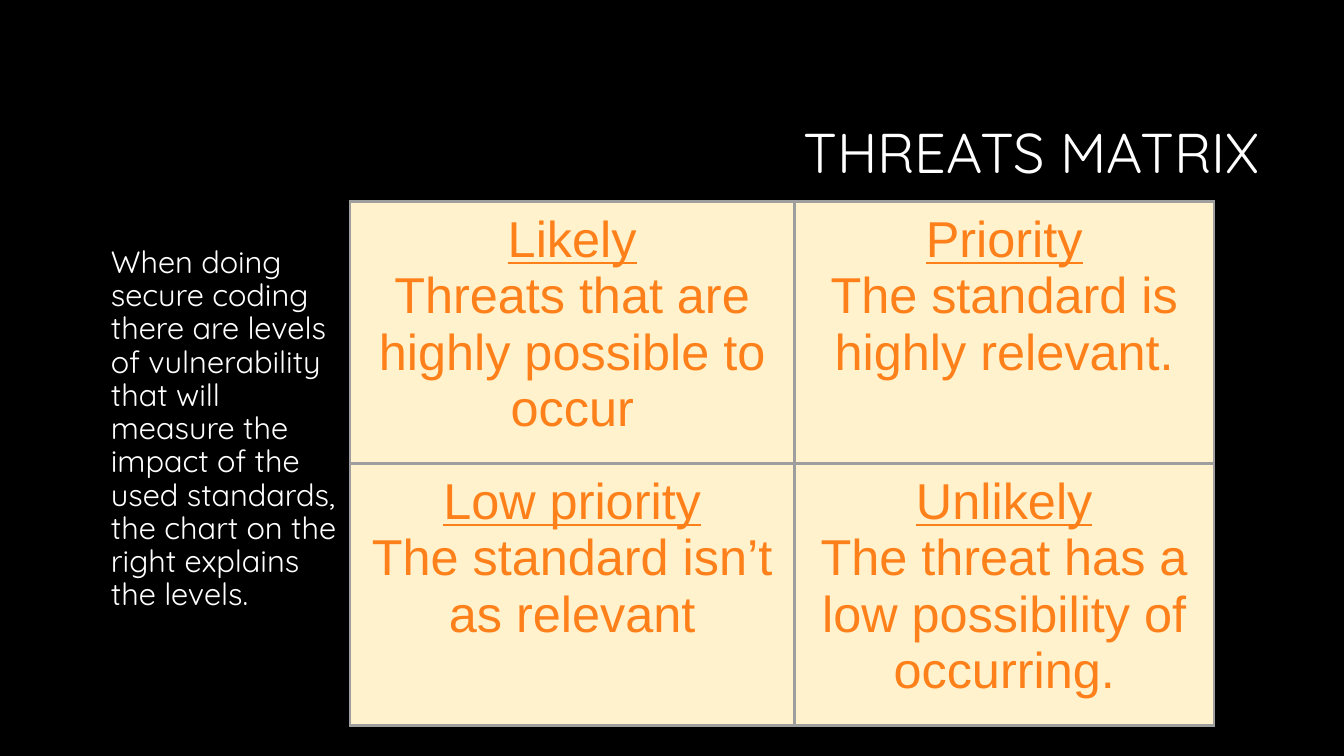
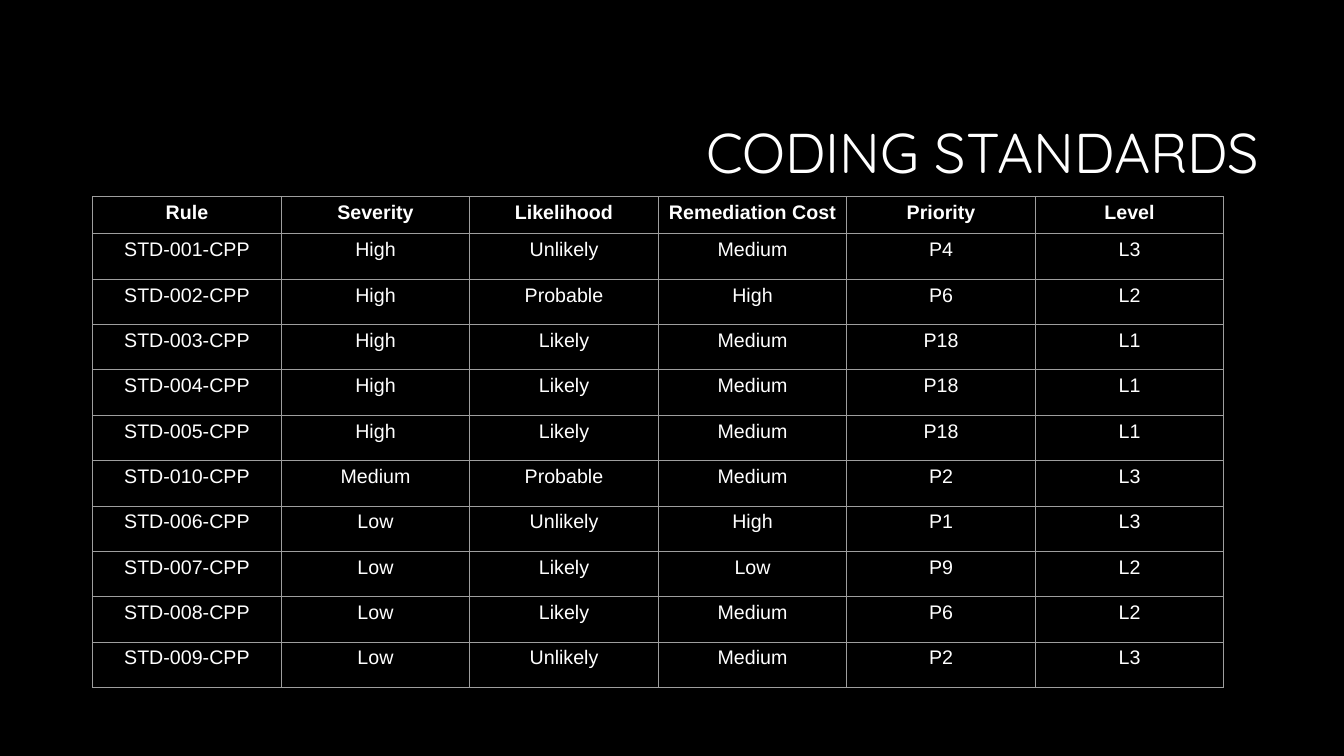
"""Build two dark slides: a threats matrix and a coding standards table."""
from dataclasses import dataclass

from lxml.etree import SubElement
from pptx import Presentation
from pptx.dml.color import RGBColor
from pptx.enum.text import MSO_ANCHOR as Anchor, PP_ALIGN as Align
from pptx.oxml.ns import qn
from pptx.util import Inches, Pt


@dataclass(frozen=True)
class Theme:
    background: str = "000000"
    text: str = "FFFFFF"
    accent: str = "FE801A"
    panel: str = "FFF2CC"
    border: str = "9E9E9E"
    display_font: str = "Quicksand"
    table_font: str = "Arial"
    title_size: int = 40
    matrix_size: int = 36
    body_size: int = 22
    grid_size: int = 14


THEME = Theme()
SLIDE_SIZE = (13.33, 7.5)
TITLE_BOX = (3.17, 0.84, 9.42, 1.41)

MATRIX_TITLE = "THREATS MATRIX"
MATRIX_INTRO = (
    "When doing secure coding there are levels of vulnerability that will "
    "measure the impact of the used standards, the chart on the right "
    "explains the levels."
)
MATRIX = [
    [("Likely", "Threats that are highly possible to occur"),
     ("Priority", "The standard is highly relevant.")],
    [("Low priority", "The standard isn’t as relevant"),
     ("Unlikely", "The threat has a low possibility of occurring.")],
]

STANDARDS_TITLE = "CODING STANDARDS"
STANDARDS_HEADER = ("Rule", "Severity", "Likelihood", "Remediation Cost", "Priority", "Level")
STANDARDS = [
    ("STD-001-CPP", "High", "Unlikely", "Medium", "P4", "L3"),
    ("STD-002-CPP", "High", "Probable", "High", "P6", "L2"),
    ("STD-003-CPP", "High", "Likely", "Medium", "P18", "L1"),
    ("STD-004-CPP", "High", "Likely", "Medium", "P18", "L1"),
    ("STD-005-CPP", "High", "Likely", "Medium", "P18", "L1"),
    ("STD-010-CPP", "Medium", "Probable", "Medium", "P2", "L3"),
    ("STD-006-CPP", "Low", "Unlikely", "High", "P1", "L3"),
    ("STD-007-CPP", "Low", "Likely", "Low", "P9", "L2"),
    ("STD-008-CPP", "Low", "Likely", "Medium", "P6", "L2"),
    ("STD-009-CPP", "Low", "Unlikely", "Medium", "P2", "L3"),
]


def add_run(paragraph, text, font, size, color, bold=False, underline=False):
    run = paragraph.add_run()
    run.text = text
    run.font.name = font
    run.font.size = Pt(size)
    run.font.color.rgb = RGBColor.from_string(color)
    run.font.bold = bold
    run.font.underline = underline


def add_text(slide, box, text, size, align=Align.LEFT, anchor=Anchor.TOP, before=0, indent=0):
    frame = slide.shapes.add_textbox(*map(Inches, box)).text_frame
    frame.word_wrap = True
    frame.vertical_anchor = anchor
    frame.margin_left = Inches(0.1 + indent)
    frame.margin_right = Inches(0.1)
    paragraph = frame.paragraphs[0]
    paragraph.alignment = align
    paragraph.line_spacing = 0.9
    paragraph.space_before = Pt(before)
    add_run(paragraph, text, THEME.display_font, size, THEME.text)


def add_titled_slide(presentation, title):
    slide = presentation.slides.add_slide(presentation.slide_layouts[6])
    fill = slide.background.fill
    fill.solid()
    fill.fore_color.rgb = RGBColor.from_string(THEME.background)
    add_text(slide, TITLE_BOX, title, THEME.title_size, Align.RIGHT, Anchor.MIDDLE)
    return slide


def set_borders(cell, width):
    properties = cell._tc.get_or_add_tcPr()
    for side in ("lnL", "lnR", "lnT", "lnB"):
        line = SubElement(properties, qn(f"a:{side}"), w=str(Pt(width)))
        solid = SubElement(line, qn("a:solidFill"))
        SubElement(solid, qn("a:srgbClr"), val=THEME.border)


def add_grid(slide, origin, columns, rows, border):
    frame = slide.shapes.add_table(
        len(rows), len(columns), *map(Inches, (*origin, sum(columns), sum(rows))))
    table = frame.table
    table.first_row = table.horz_banding = False
    for column, width in zip(table.columns, columns):
        column.width = Inches(width)
    for row, height in zip(table.rows, rows):
        row.height = Inches(height)
    for cell in table.iter_cells():
        set_borders(cell, border)
        cell.fill.background()
    return table


def build_matrix(presentation):
    slide = add_titled_slide(presentation, MATRIX_TITLE)
    add_text(slide, (0.75, 2.4, 2.72, 4.4), MATRIX_INTRO, THEME.body_size,
             before=10, indent=0.25)
    table = add_grid(slide, (3.47, 2), (4.41, 4.16), [2.43] * len(MATRIX), 2.25)
    for row, entries in enumerate(MATRIX):
        for column, entry in enumerate(entries):
            cell = table.cell(row, column)
            cell.fill.solid()
            cell.fill.fore_color.rgb = RGBColor.from_string(THEME.panel)
            cell.margin_left = cell.margin_right = Inches(0.1)
            cell.margin_top = cell.margin_bottom = Inches(0.1)
            frame = cell.text_frame
            for paragraph, text in zip((frame.paragraphs[0], frame.add_paragraph()), entry):
                paragraph.alignment = Align.CENTER
                add_run(paragraph, text, THEME.table_font, THEME.matrix_size,
                        THEME.accent, underline=text == entry[0])


def build_standards(presentation):
    slide = add_titled_slide(presentation, STANDARDS_TITLE)
    table = add_grid(slide, (0.92, 1.95), [1.87] * len(STANDARDS_HEADER),
                     [0.37] + [0.45] * len(STANDARDS), 0.75)
    for row, entries in enumerate([STANDARDS_HEADER, *STANDARDS]):
        for column, text in enumerate(entries):
            paragraph = table.cell(row, column).text_frame.paragraphs[0]
            paragraph.alignment = Align.CENTER
            add_run(paragraph, text, THEME.table_font, THEME.grid_size,
                    THEME.text, bold=row == 0)


def main():
    presentation = Presentation()
    presentation.slide_width, presentation.slide_height = map(Inches, SLIDE_SIZE)
    build_matrix(presentation)
    build_standards(presentation)
    presentation.save("out.pptx")


if __name__ == "__main__":
    main()
